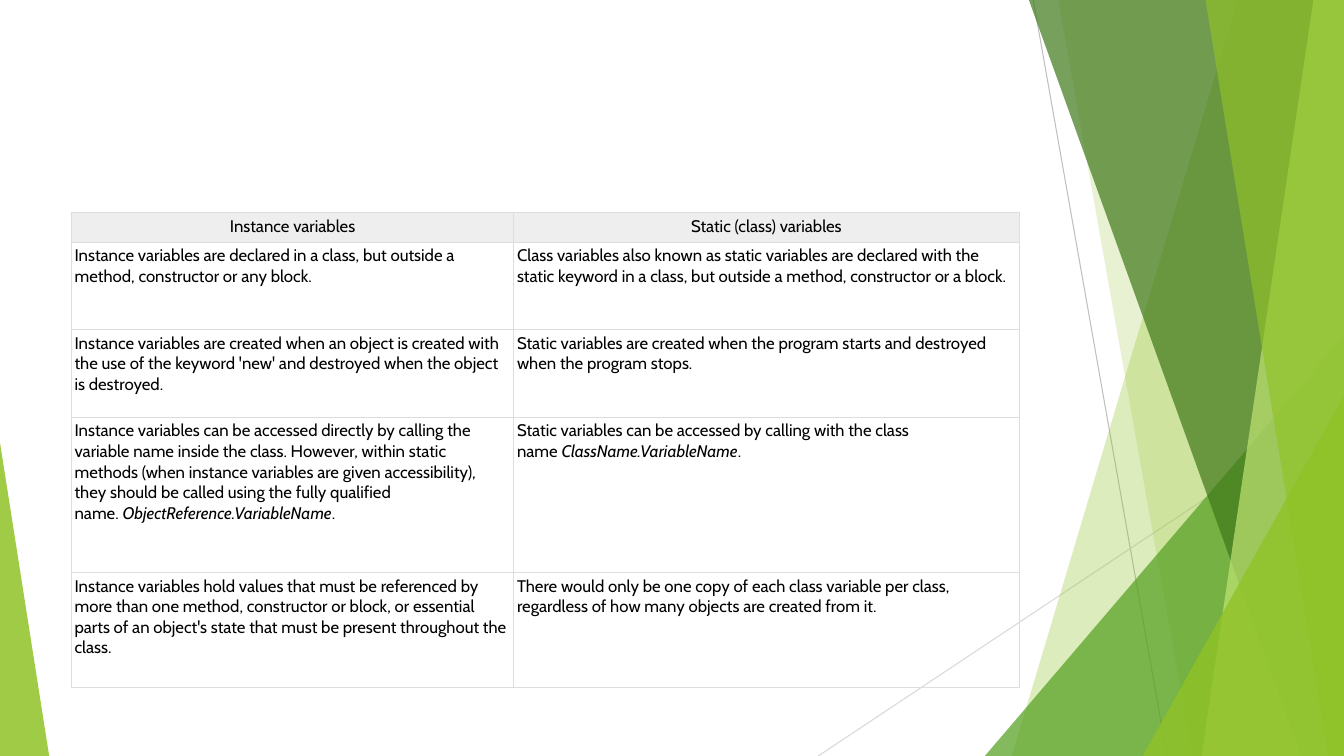
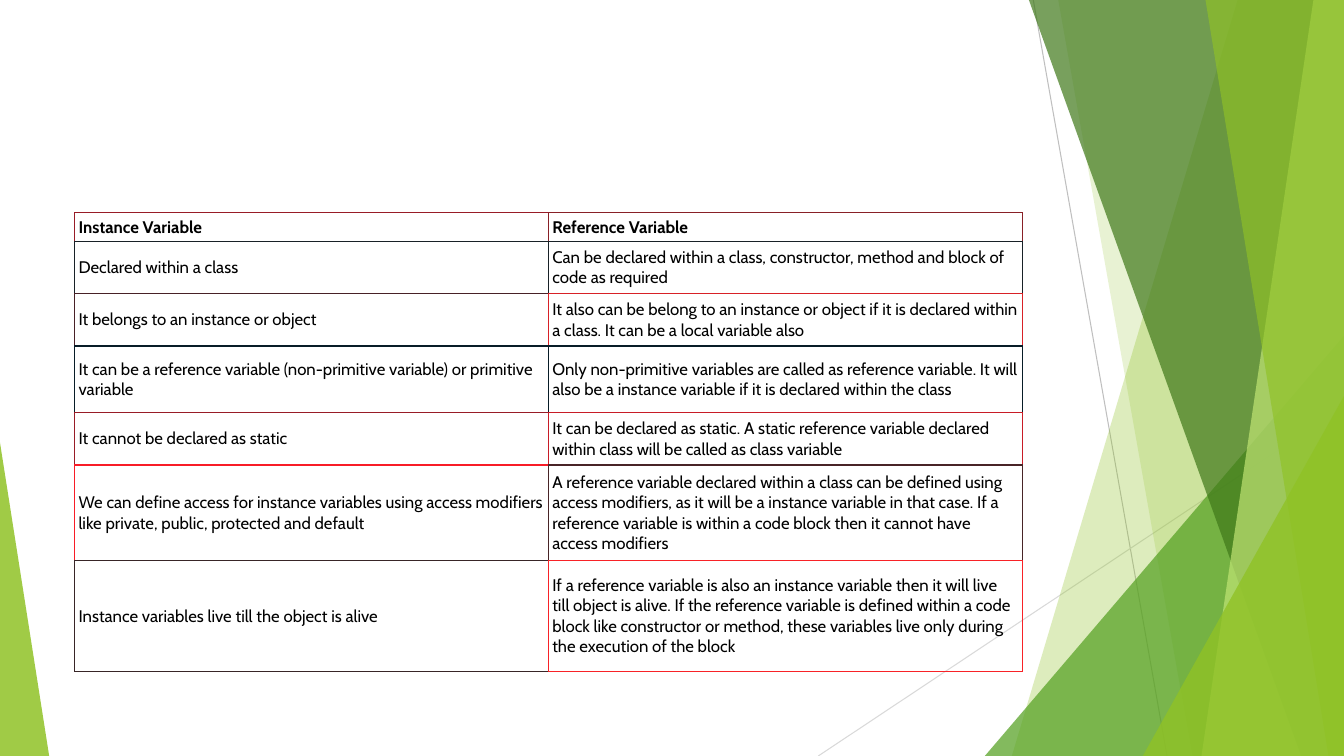
from lxml import etree
from pptx import Presentation
from pptx.dml.color import RGBColor
from pptx.enum.shapes import MSO_CONNECTOR, MSO_SHAPE
from pptx.enum.text import MSO_ANCHOR, PP_ALIGN
from pptx.oxml.ns import qn
from pptx.util import Cm, Pt

STRAIGHT = MSO_CONNECTOR.STRAIGHT
TRIANGLE = MSO_SHAPE.ISOSCELES_TRIANGLE
TOP, MIDDLE = MSO_ANCHOR.TOP, MSO_ANCHOR.MIDDLE
LEFT, CENTER = PP_ALIGN.LEFT, PP_ALIGN.CENTER

BLACK = RGBColor(0x00, 0x00, 0x00)
SILVER = RGBColor(0xBF, 0xBF, 0xBF)
PALE_GRAY = RGBColor(0xD9, 0xD9, 0xD9)
GRID_GRAY = RGBColor(0xDD, 0xDD, 0xDD)
HEADER_GRAY = RGBColor(0xEE, 0xEE, 0xEE)
LIME = RGBColor(0x90, 0xC2, 0x26)
PALE_LIME = RGBColor(0xC0, 0xE4, 0x74)
GREEN = RGBColor(0x54, 0xA0, 0x21)
DARK_GREEN = RGBColor(0x3F, 0x78, 0x19)

WIDTH, HEIGHT = 33.87, 19.05


class Deck:
    font_name = "Cabin"
    font_size = Pt(12)
    thin, thick = 0.75, 1

    def __init__(self):
        self.presentation = Presentation()
        self.presentation.slide_width = Cm(WIDTH)
        self.presentation.slide_height = Cm(HEIGHT)
        self.slide = None

    def add_slide(self):
        layout = self.presentation.slide_layouts[6]
        self.slide = self.presentation.slides.add_slide(layout)
        self.add_line(26.04, 0, 29.41, HEIGHT, SILVER)
        self.add_line(WIDTH, 10.24, 20.62, HEIGHT, PALE_GRAY)
        self.add_band(31.19, 25.5, LIME, 30)
        self.add_band(26.67, 30.05, LIME, 20)
        self.add_triangle(24.82, 8.46, 9.05, 1, GREEN, 72)
        self.add_band(25.93, 32.79, DARK_GREEN, 70)
        self.add_band(33.1, 30.28, PALE_LIME, 70)
        self.add_band(30.38, 33.48, LIME, 65)
        self.add_triangle(28.8, 9.98, 5.07, 1, LIME, 80)
        self.add_triangle(0, 11.15, 1.24, 0, LIME, 85)

    def add_line(self, start_x, start_y, end_x, end_y, color):
        connector = self.slide.shapes.add_connector(
            STRAIGHT, Cm(start_x), Cm(start_y), Cm(end_x), Cm(end_y))
        connector.line.color.rgb = color
        connector.line.width = Pt(self.thin)
        etree.SubElement(connector.element.spPr, qn("a:effectLst"))

    def paint(self, shape, color, opacity):
        shape.shadow.inherit = False
        shape.fill.solid()
        shape.fill.fore_color.rgb = color
        shape.line.fill.background()
        fill_color = next(shape.element.spPr.iter(qn("a:srgbClr")))
        etree.SubElement(fill_color, qn("a:alpha"), val=str(opacity * 1000))

    def add_band(self, top_x, bottom_x, color, opacity):
        builder = self.slide.shapes.build_freeform(Cm(top_x), 0)
        builder.add_line_segments([
            (Cm(WIDTH), 0), (Cm(WIDTH), Cm(HEIGHT)), (Cm(bottom_x), Cm(HEIGHT))])
        self.paint(builder.convert_to_shape(), color, opacity)

    def add_triangle(self, left, top, width, apex, color, opacity):
        shape = self.slide.shapes.add_shape(
            TRIANGLE, Cm(left), Cm(top), Cm(width), Cm(HEIGHT - top))
        shape.adjustments[0] = apex
        self.paint(shape, color, opacity)

    def add_table(self, left, top, widths, heights, rows, colors, inset,
                  anchor=TOP, header_align=LEFT, header_bold=False,
                  header_fill=None, inner_width=thin):
        table = self.slide.shapes.add_table(
            len(rows), len(widths), Cm(left), Cm(top),
            Cm(sum(widths)), Cm(sum(heights))).table
        table.first_row = table.horz_banding = False
        for column, width in zip(table.columns, widths):
            column.width = Cm(width)
        for row, height in zip(table.rows, heights):
            row.height = Cm(height)
        for i, texts in enumerate(rows):
            for j, text in enumerate(texts):
                cell = table.cell(i, j)
                is_header = i == 0
                last_column, last_row = j == len(texts) - 1, i == len(rows) - 1
                own = colors[i][j]
                right = own if last_column else colors[i][j + 1]
                bottom = own if last_row else colors[i + 1][j]
                self.add_border(cell, "a:lnL", own, inner_width)
                self.add_border(cell, "a:lnR", right, self.thin if last_column else inner_width)
                self.add_border(cell, "a:lnT", own, inner_width)
                self.add_border(cell, "a:lnB", bottom, self.thin if last_row else inner_width)
                if is_header and header_fill is not None:
                    cell.fill.solid()
                    cell.fill.fore_color.rgb = header_fill
                else:
                    cell.fill.background()
                cell.margin_left = cell.margin_right = Cm(inset)
                cell.margin_top = cell.margin_bottom = Cm(inset)
                cell.vertical_anchor = anchor
                self.add_cell_text(cell, text, header_align if is_header else LEFT,
                                   is_header and header_bold)

    def add_border(self, cell, tag, color, width):
        properties = cell._tc.get_or_add_tcPr()
        line = etree.SubElement(properties, qn(tag), w=str(int(Pt(width))))
        fill = etree.SubElement(line, qn("a:solidFill"))
        etree.SubElement(fill, qn("a:srgbClr"), val=str(color))

    def add_cell_text(self, cell, text, align, bold):
        paragraph = cell.text_frame.paragraphs[0]
        paragraph.alignment = align
        for position, part in enumerate(text.split("*")):
            run = paragraph.add_run()
            run.text = part
            run.font.name = self.font_name
            run.font.size = self.font_size
            run.font.color.rgb = BLACK
            run.font.bold = bold
            run.font.italic = position % 2 == 1


STATIC_ROWS = [
    ("Instance variables", "Static (class) variables"),
    ("Instance variables are declared in a class, but outside a method, "
     "constructor or any block.",
     "Class variables also known as static variables are declared with the "
     "static keyword in a class, but outside a method, constructor or a block."),
    ("Instance variables are created when an object is created with the use of "
     "the keyword 'new' and destroyed when the object is destroyed.",
     "Static variables are created when the program starts and destroyed when "
     "the program stops."),
    ("Instance variables can be accessed directly by calling the variable name "
     "inside the class. However, within static methods (when instance variables "
     "are given accessibility), they should be called using the fully qualified "
     "name.\u00a0*ObjectReference.VariableName*.",
     "Static variables can be accessed by calling with the class "
     "name\u00a0*ClassName.VariableName*."),
    ("Instance variables hold values that must be referenced by more than one "
     "method, constructor or block, or essential parts of an object's state that "
     "must be present throughout the class.",
     "There would only be one copy of each class variable per class, regardless "
     "of how many objects are created from it."),
]

REFERENCE_ROWS = [
    ("Instance Variable", "Reference Variable"),
    ("Declared within a class",
     "Can be declared within a class, constructor, method and block of code as "
     "required"),
    ("It belongs to an instance or object",
     "It also can be belong to an instance or object if it is declared within a "
     "class. It can be a local variable also"),
    ("It can be a reference variable (non-primitive variable) or primitive variable",
     "Only non-primitive variables are called as reference variable. It will also "
     "be a instance variable if it is declared within the class"),
    ("It cannot be declared as static",
     "It can be declared as static. A static reference variable declared within "
     "class will be called as class variable"),
    ("We can define access for instance variables using access modifiers like "
     "private, public, protected and default",
     "A reference variable declared within a class can be defined using access "
     "modifiers, as it will be a instance variable in that case. If a reference "
     "variable is within a code block then it cannot have access modifiers"),
    ("Instance variables live till the object is alive",
     "If a reference variable is also an instance variable then it will live till "
     "object is alive. If the reference variable is defined within a code block "
     "like constructor or method, these variables live only during the execution "
     "of the block"),
]

REFERENCE_COLORS = [
    (RGBColor(0x98, 0x1C, 0x27), RGBColor(0x88, 0x20, 0x27)),
    (RGBColor(0x18, 0x21, 0x27), RGBColor(0x18, 0x21, 0x27)),
    (RGBColor(0x48, 0x21, 0x27), RGBColor(0xD8, 0x21, 0x27)),
    (RGBColor(0x08, 0x1C, 0x27), RGBColor(0x08, 0x1C, 0x27)),
    (RGBColor(0x98, 0x1C, 0x27), RGBColor(0xC8, 0x1C, 0x27)),
    (RGBColor(0xF8, 0x1C, 0x27), RGBColor(0x48, 0x24, 0x27)),
    (RGBColor(0x38, 0x25, 0x27), RGBColor(0xF8, 0x22, 0x27)),
]

deck = Deck()

deck.add_slide()
deck.add_table(
    1.8, 5.36, [11.15, 12.73], [0.74, 2.21, 2.21, 3.91, 2.9], STATIC_ROWS,
    [(GRID_GRAY, GRID_GRAY)] * len(STATIC_ROWS), inset=0.08,
    header_align=CENTER, header_fill=HEADER_GRAY)

deck.add_slide()
deck.add_table(
    1.88, 5.36, [11.94, 11.94], [0.58, 1.32, 1.32, 1.68, 1.32, 2.41, 2.79],
    REFERENCE_ROWS, REFERENCE_COLORS, inset=0.1, anchor=MIDDLE,
    header_bold=True, inner_width=Deck.thick)

deck.presentation.save("out.pptx")
